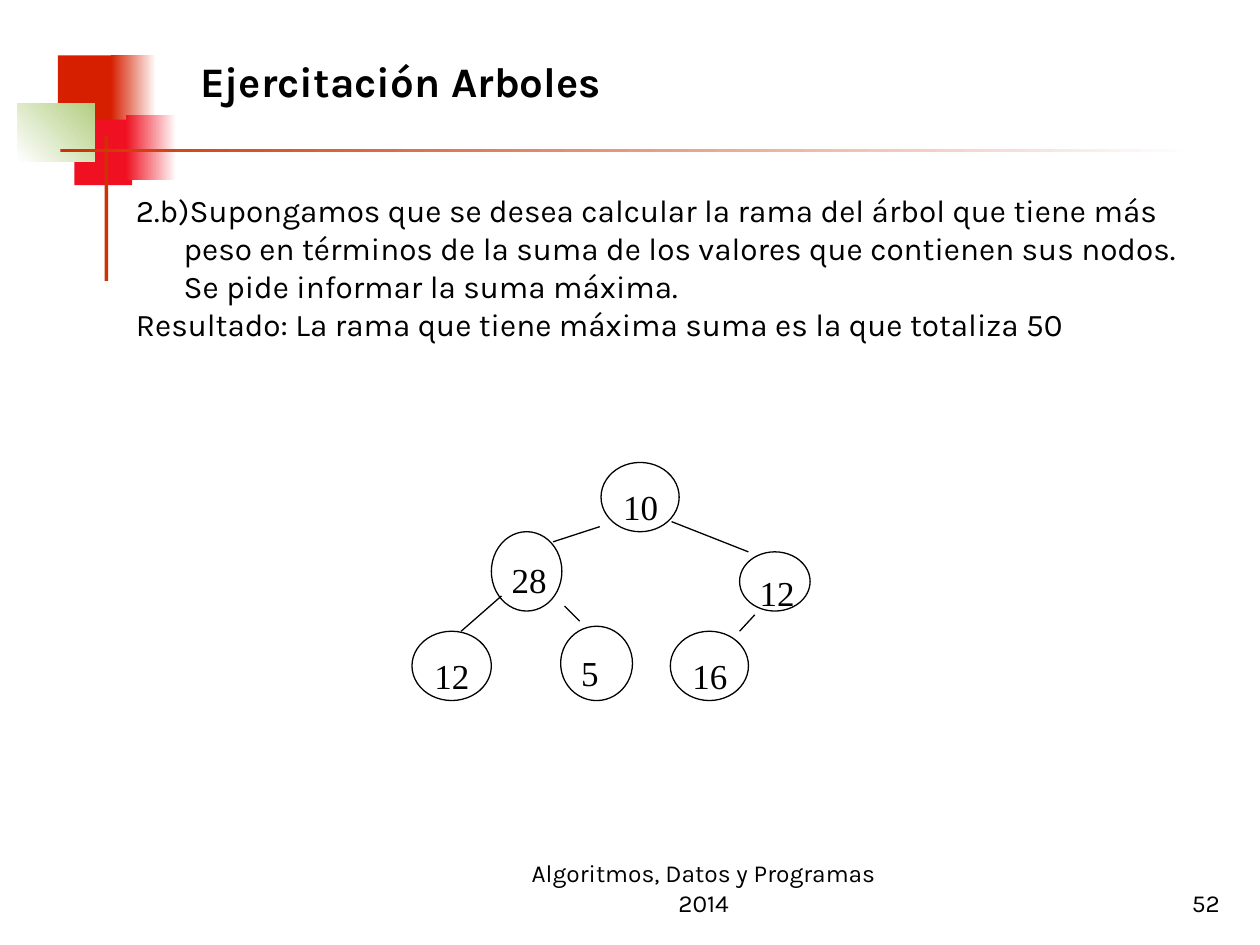
from pptx import Presentation
from pptx.dml.color import RGBColor
from pptx.enum.shapes import MSO_CONNECTOR, MSO_SHAPE
from pptx.enum.text import MSO_ANCHOR, PP_ALIGN
from pptx.oxml.ns import qn
from pptx.util import Inches, Pt
from lxml.etree import SubElement

# Grid of 100 columns by 75 rows; every place below is in grid cells
COLUMNS, ROWS = 100, 75
CELL = Inches(0.1)

BLACK, WHITE = "000000", "FFFFFF"
RED, CRIMSON, GREEN, RUST = "D61F00", "EF1121", "B3CE82", "CC3300"

BODY = {"name": "Karla", "size": Pt(18)}
TITLE = {"name": "Karla", "size": Pt(24), "bold": True}
FOOTER = {"name": "Karla", "size": Pt(14)}
NODE = {"name": "Times New Roman", "size": Pt(20)}

# Ornament blocks: place, colours (two make a gradient), gradient angle
ORNAMENT = [
    ((4.6, 4.4, 4.8, 5.2), [RED], 0),
    ((8.8, 4.4, 3.6, 5.2), [RED, WHITE], 0),
    ((5.9, 9.5, 4.6, 5.2), [CRIMSON], 0),
    ((10, 9.1, 4, 5.2), [CRIMSON, WHITE], 0),
    ((1.4, 8.2, 6.1, 4.6), [WHITE, GREEN], 45),
    ((8.3, 10.8, 0.3, 11.5), [RUST], 0),
    ((4.8, 11.8, 90, 0.3), [RUST, WHITE], 0),
]

TREE_NODES = [
    ("10", (47.7, 36.7, 6.2, 5.5)),
    ("28", (39, 42.2, 5.6, 6.3)),
    ("12", (58.7, 43.8, 5.6, 4.7)),
    ("5", (44.5, 49.7, 5.7, 5.9)),
    ("16", (53.2, 50.1, 6.2, 5.5)),
    ("12", (32.7, 50.1, 6.3, 5.5)),
]

TREE_BRANCHES = [
    (47.6, 41.8, 43.9, 43),
    (53.3, 41.4, 59.4, 43.8),
    (39.8, 47.3, 36.6, 50.1),
    (44.8, 48.1, 46, 49.3),
    (59.9, 48.8, 58.7, 50.1),
]

STATEMENT = [
    "2.b)Supongamos que se desea calcular la rama del árbol que tiene más "
    "peso en términos de la suma de los valores que contienen sus nodos. "
    "Se pide informar la suma máxima.",
    "Resultado: La rama que tiene máxima suma es la que totaliza 50",
]


def cells(place):
    return [round(value * CELL) for value in place]


def color(hex_code):
    return RGBColor.from_string(hex_code)


def add_block(slide, place, colors, angle):
    block = slide.shapes.add_shape(MSO_SHAPE.RECTANGLE, *cells(place))
    block.shadow.inherit = False
    block.line.fill.background()
    if len(colors) == 1:
        block.fill.solid()
        block.fill.fore_color.rgb = color(colors[0])
        return
    block.fill.gradient()
    block.fill.gradient_angle = angle
    for stop, hex_code in zip(block.fill.gradient_stops, colors):
        stop.color.rgb = color(hex_code)


def add_text(slide, place, paragraphs, font, align=PP_ALIGN.LEFT,
             anchor=MSO_ANCHOR.TOP, insets=(1, 0.5), hanging=0):
    frame = slide.shapes.add_textbox(*cells(place)).text_frame
    side, edge = cells(insets)
    layout = {"word_wrap": True, "vertical_anchor": anchor,
              "margin_left": side, "margin_right": side,
              "margin_top": edge, "margin_bottom": edge}
    for attribute, value in layout.items():
        setattr(frame, attribute, value)
    for index, wording in enumerate(paragraphs):
        paragraph = frame.add_paragraph() if index else frame.paragraphs[0]
        paragraph.alignment = align
        if hanging:
            indent = round(hanging * CELL)
            properties = paragraph._p.get_or_add_pPr()
            properties.set("marL", str(indent))
            properties.set("indent", str(-indent))
        run = paragraph.add_run()
        run.text = wording
        for attribute, value in font.items():
            setattr(run.font, attribute, value)
        run.font.color.rgb = color(BLACK)


def add_node(slide, number, place):
    circle = slide.shapes.add_shape(MSO_SHAPE.OVAL, *cells(place))
    circle.shadow.inherit = False
    circle.fill.solid()
    circle.fill.fore_color.rgb = color(WHITE)
    circle.line.color.rgb = color(BLACK)
    circle.line.width = Pt(0.75)
    # The number starts a quarter across and a third down the circle
    left, top, width, height = place
    number_place = (left + width / 4, top + height / 3, width, height * 2 / 3)
    add_text(slide, number_place, [number], NODE, insets=(0.2, 0))


def add_branch(slide, ends):
    branch = slide.shapes.add_connector(MSO_CONNECTOR.STRAIGHT, *cells(ends))
    branch.line.color.rgb = color(BLACK)
    branch.line.width = Pt(0.75)
    SubElement(branch._element.spPr, qn("a:effectLst"))


def main():
    deck = Presentation()
    deck.slide_width, deck.slide_height = cells((COLUMNS, ROWS))
    slide = deck.slides.add_slide(deck.slide_layouts[6])

    # Corner ornament and rules
    for place, colors, angle in ORNAMENT:
        add_block(slide, place, colors, angle)

    # Title and statement
    add_text(slide, (14.9, 1.3, 39.8, 10.2), ["Ejercitación Arboles"], TITLE,
             anchor=MSO_ANCHOR.MIDDLE)
    add_text(slide, (9.8, 14.7, 85.8, 48.8), STATEMENT, BODY, hanging=3.8)

    # Tree
    for number, place in TREE_NODES:
        add_node(slide, number, place)
    for ends in TREE_BRANCHES:
        add_branch(slide, ends)

    # Footer and page number
    add_text(slide, (40, 68.3, 31.7, 5), ["Algoritmos, Datos y Programas 2014"],
             FOOTER, PP_ALIGN.CENTER, MSO_ANCHOR.BOTTOM)
    add_text(slide, (77, 68.3, 20.8, 5), ["52"],
             FOOTER, PP_ALIGN.RIGHT, MSO_ANCHOR.BOTTOM)

    deck.save("out.pptx")


if __name__ == "__main__":
    main()
